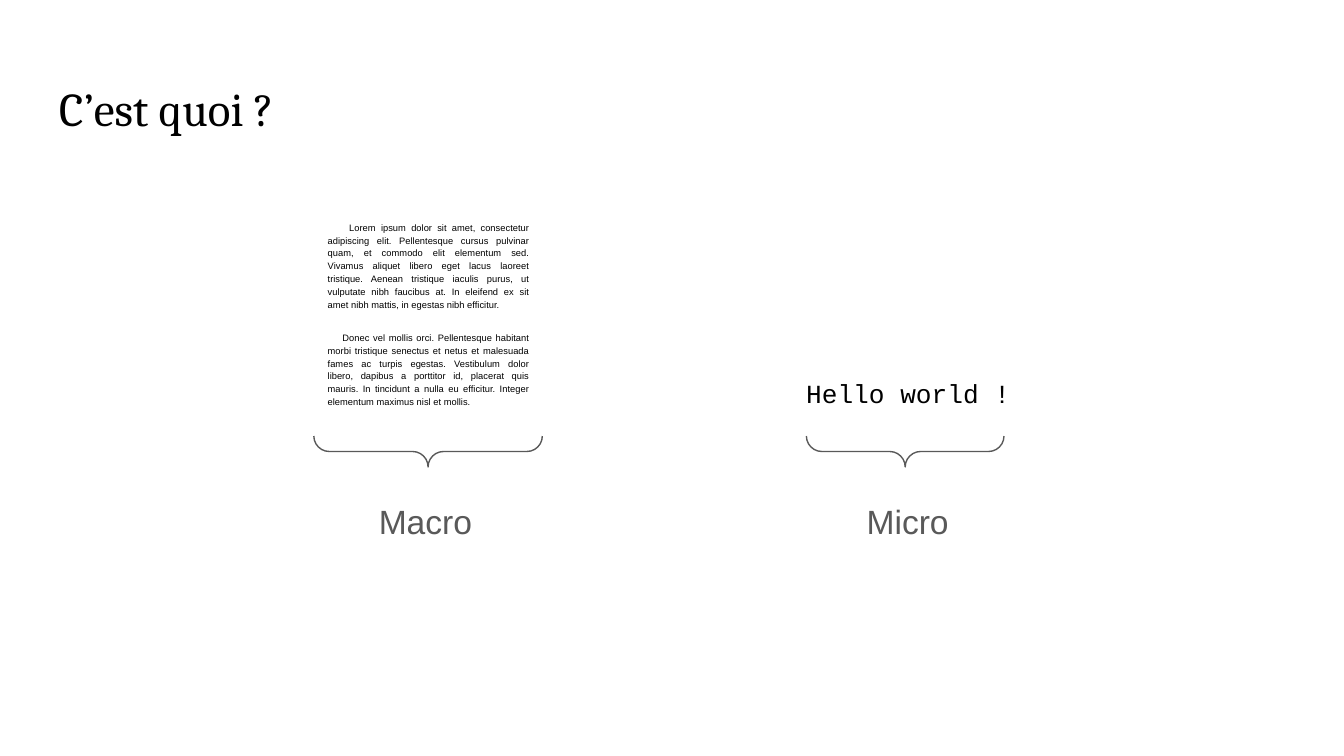
from pptx import Presentation
from pptx.dml.color import RGBColor
from pptx.enum.shapes import MSO_SHAPE
from pptx.enum.text import MSO_ANCHOR, PP_ALIGN
from pptx.util import Inches, Pt


class Theme:
    black = RGBColor(0, 0, 0)
    gray = RGBColor(0x59, 0x59, 0x59)
    head, sans, mono = "Cambria", "Arial", "Courier New"
    title, label, code, body = Pt(25.2), Pt(18), Pt(14), Pt(5)


def fill_text(frame, lines, face, size, color):
    frame.word_wrap = True
    frame.margin_left = frame.margin_right = Inches(0.1)
    frame.margin_top = frame.margin_bottom = Inches(0.1)
    frame.text = "\n".join(lines)
    for para in frame.paragraphs:
        para.font.name = face
        para.font.size = size
        para.font.color.rgb = color
    return frame.paragraphs


def add_text(box, lines, face, size, color):
    shape = slide.shapes.add_textbox(*map(Inches, box))
    return fill_text(shape.text_frame, lines, face, size, color)


# Widescreen page, 16:9
deck = Presentation()
deck.slide_width = Inches(10)
deck.slide_height = Inches(10) * 9 // 16
slide = deck.slides.add_slide(deck.slide_layouts[5])

# Title
title = slide.shapes.title
title.left, title.top = Inches(0.34), Inches(0.49)
title.width, title.height = Inches(9.32), Inches(0.63)
title.text_frame.vertical_anchor = MSO_ANCHOR.TOP
head = fill_text(title.text_frame, ["C’est quoi ?"],
                 Theme.head, Theme.title, Theme.black)[0]
head.alignment = PP_ALIGN.LEFT

# Macro sample: two justified paragraphs with first-line indents
lorem = [
    "Lorem ipsum dolor sit amet, consectetur adipiscing elit. "
    "Pellentesque cursus pulvinar quam, et commodo elit elementum sed. "
    "Vivamus aliquet libero eget lacus laoreet tristique. "
    "Aenean tristique iaculis purus, ut vulputate nibh faucibus at. "
    "In eleifend ex sit amet nibh mattis, in egestas nibh efficitur.",
    "Donec vel mollis orci. Pellentesque habitant morbi tristique senectus "
    "et netus et malesuada fames ac turpis egestas. Vestibulum dolor libero, "
    "dapibus a porttitor id, placerat quis mauris. In tincidunt a nulla eu "
    "efficitur. Integer elementum maximus nisl et mollis.",
]
paras = add_text((2.34, 1.54, 1.7, 1.6), lorem,
                 Theme.sans, Theme.body, Theme.black)
for para, indent in zip(paras, (0.16, 0.11)):
    para.alignment = PP_ALIGN.JUSTIFY
    para.line_spacing = 1.15
    para.space_before = Pt(11)
    para._p.get_or_add_pPr().set("indent", str(Inches(indent)))
paras[-1].space_after = Pt(11)

# Micro sample
add_text((5.9, 2.71, 1.76, 0.44), ["Hello world !"],
         Theme.mono, Theme.code, Theme.black)

# Braces and labels: name, brace left, brace span, label left, label width
depth, middle = 0.23, 3.36
for name, start, span, left, width in (
    ("Macro", 3.07, 1.7, 2.72, 1.04),
    ("Micro", 6.62, 1.47, 6.35, 0.86),
):
    brace = slide.shapes.add_shape(
        MSO_SHAPE.RIGHT_BRACE, Inches(start), Inches(middle - span / 2),
        Inches(depth), Inches(span))
    brace.rotation = 90
    brace.adjustments[0] = brace.adjustments[1] = 0.5
    brace.shadow.inherit = False
    brace.fill.background()
    brace.line.color.rgb = Theme.gray
    brace.line.width = Pt(0.75)

    label = add_text((left, 3.58, width, 0.5), [name],
                     Theme.sans, Theme.label, Theme.gray)[0]
    label.line_spacing = 1.15
    label.space_after = Pt(12)

deck.save("out.pptx")
